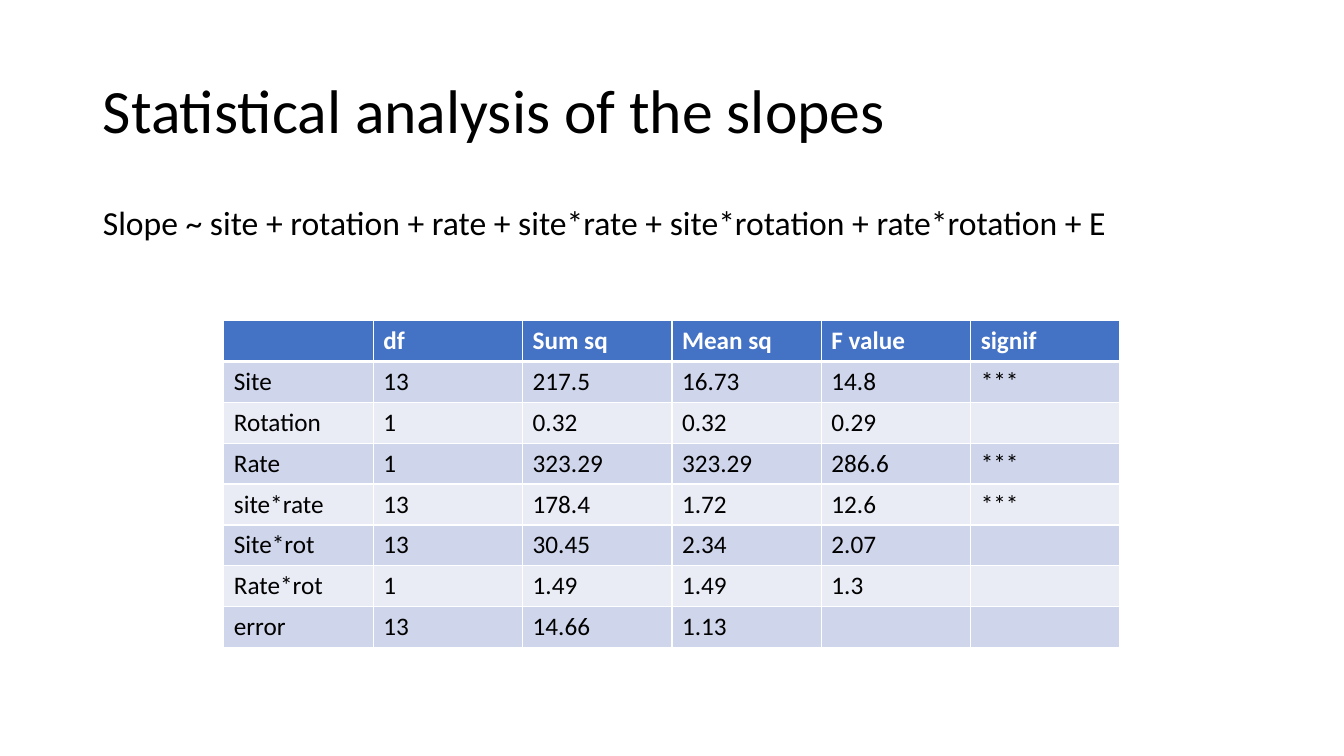
from lxml.etree import SubElement
from pptx import Presentation
from pptx.dml.color import RGBColor
from pptx.enum.text import MSO_ANCHOR, MSO_AUTO_SIZE, PP_ALIGN
from pptx.oxml.ns import qn
from pptx.util import Inches, Pt

# Content
TITLE = "Statistical analysis of the slopes"
MODEL = "Slope ~ site + rotation + rate + site*rate + site*rotation + rate*rotation + E"
ANOVA = [
    ("", "df", "Sum sq", "Mean sq", "F value", "signif"),
    ("Site", "13", "217.5", "16.73", "14.8", "***"),
    ("Rotation", "1", "0.32", "0.32", "0.29", ""),
    ("Rate", "1", "323.29", "323.29", "286.6", "***"),
    ("site*rate", "13", "178.4", "1.72", "12.6", "***"),
    ("Site*rot", "13", "30.45", "2.34", "2.07", ""),
    ("Rate*rot", "1", "1.49", "1.49", "1.3", ""),
    ("error", "13", "14.66", "1.13", "", ""),
]

# Style
FONT = "Calibri"
BLACK = RGBColor(0x00, 0x00, 0x00)
WHITE = RGBColor(0xFF, 0xFF, 0xFF)
HEADER_BLUE = RGBColor(0x44, 0x72, 0xC4)
BANDS = (RGBColor(0xE9, 0xEB, 0xF5), RGBColor(0xCF, 0xD5, 0xEA))


def add_text(para, text, size, color=BLACK, bold=False):
    span = para.add_run()
    span.text = text
    span.font.name = FONT
    span.font.size = Pt(size)
    span.font.bold = bold
    span.font.color.rgb = color


def fill_placeholder(box, place, text, size, anchor):
    box.left, box.top, box.width, box.height = [Inches(n) for n in place]
    frame = box.text_frame
    frame.word_wrap = True
    frame.auto_size = MSO_AUTO_SIZE.NONE
    frame.vertical_anchor = anchor
    para = frame.paragraphs[0]
    para.alignment = PP_ALIGN.LEFT
    para.line_spacing = 0.9
    para.space_before = Pt(0)
    add_text(para, text, size)
    return para


def add_border(cell, side, width):
    line = SubElement(cell._tc.get_or_add_tcPr(), qn(f"a:{side}"), w=str(Pt(width)))
    fill = SubElement(line, qn("a:solidFill"))
    SubElement(fill, qn("a:srgbClr"), val=str(WHITE))


deck = Presentation()
deck.slide_width, deck.slide_height = Inches(13.33), Inches(7.5)
page = deck.slides.add_slide(deck.slide_layouts[1])

# Title and model formula
fill_placeholder(page.shapes.title, (0.92, 0.4, 11.5, 1.45), TITLE, 44, MSO_ANCHOR.MIDDLE)
formula = fill_placeholder(page.placeholders[1], (0.92, 2, 12.26, 0.7), MODEL, 24, MSO_ANCHOR.TOP)
properties = formula._p.get_or_add_pPr()
properties.set("marL", "0")
properties.set("indent", "0")
SubElement(properties, qn("a:buNone"))

# Analysis of variance table
table = page.shapes.add_table(
    len(ANOVA), len(ANOVA[0]), Inches(2.22), Inches(3.18), Inches(8.89), Inches(3.24)
).table
for row, values in enumerate(ANOVA):
    header = row == 0
    for column, value in enumerate(values):
        cell = table.cell(row, column)
        add_border(cell, "lnL", 1)
        add_border(cell, "lnR", 1)
        add_border(cell, "lnT", 3 if row == 1 else 1)
        add_border(cell, "lnB", 3 if header else 1)
        cell.fill.solid()
        cell.fill.fore_color.rgb = HEADER_BLUE if header else BANDS[row % 2]
        if value:
            add_text(cell.text_frame.paragraphs[0], value, 18, WHITE if header else BLACK, header)

deck.save("out.pptx")
